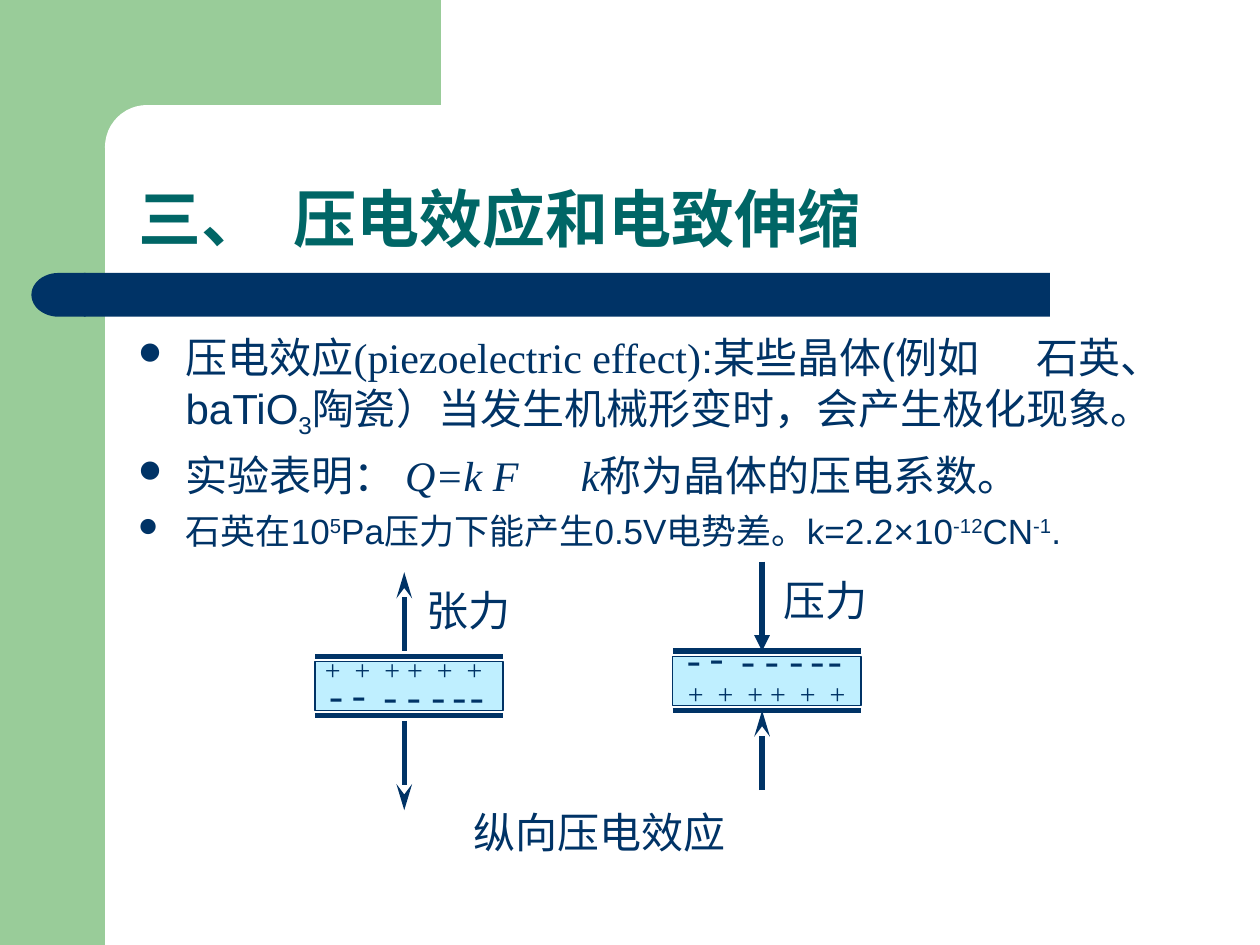
from lxml.etree import SubElement
from pptx import Presentation
from pptx.dml.color import RGBColor
from pptx.enum.shapes import MSO_CONNECTOR as Connector, MSO_SHAPE as Shape
from pptx.enum.text import MSO_ANCHOR as Anchor, PP_ALIGN as Align
from pptx.oxml.ns import qn
from pptx.util import Pt

COLORS = {"green": "99CC99", "navy": "003366", "teal": "006666",
          "white": "FFFFFF", "crystal": "33CCFF"}
SANS, SERIF = "Arial", "Times New Roman"

# Content: a run is (text, format values)
TITLE = "三、\t压电效应和电致伸缩"
TITLE_TAB = 88.5
BULLETS = [
    {"size": 24, "before": 0, "tab": 513, "runs": [
        ("压电效应", {}), ("(piezoelectric effect)", {"name": SERIF}),
        (":某些晶体(例如\t石英、baTiO", {}), ("3", {"baseline": -25}),
        ("陶瓷）当发生机械形变时，会产生极化现象。", {})]},
    {"size": 24, "before": 6, "tab": 252.8, "runs": [
        ("实验表明： ", {"name": SANS}),
        ("Q=k F\tk", {"name": SERIF, "italic": True}),
        ("称为晶体的压电系数。", {"name": SERIF})]},
    {"size": 20, "before": 5, "tab": None, "runs": [
        ("石英在10", {}), ("5", {"baseline": 30}),
        ("Pa压力下能产生0.5V电势差。k=2.2×10", {}), ("-12", {"baseline": 30}),
        ("CN", {}), ("-1", {"baseline": 30}), (".", {})]},
]
CAPTION = "纵向压电效应"

# Shape, left, top, width, height, corner adjustment, colour
DECORATION = [
    (Shape.RECTANGLE, 0, 0, 60, 540, None, "green"),
    (Shape.RECTANGLE, 54, 0, 198, 84, None, "green"),
    (Shape.ROUNDED_RECTANGLE, 60, 60, 402, 48, 0.5, "white"),
    (Shape.ROUNDED_RECTANGLE, 48, 156, 552, 25, 0, "navy"),
    (Shape.FLOWCHART_DELAY, 18, 156, 31, 25, None, "navy"),
]

# Each crystal: tops of the charge rows, and arrows as (start y, end y, head)
CRYSTALS = [
    {"left": 384.5, "top": 375, "plus_left": 386, "plus_top": 383.2,
     "minus_top": 358.4, "label": "压力", "label_at": (440.6, 324.7),
     "arrows": [(321, 372, "triangle"), (451.5, 406, "stealth")]},
    {"left": 180, "top": 378, "plus_left": 178.6, "plus_top": 369.4,
     "minus_top": 379.3, "label": "张力", "label_at": (236.9, 330.5),
     "arrows": [(372, 327, "stealth"), (412, 463, "stealth")]},
]
CRYSTAL_WIDTH, CRYSTAL_HEIGHT, PLATE_GAP, ARROW_OFFSET = 107.5, 28, 3, 51
PLUS_OFFSETS = [0, 17, 34, 47, 64, 81]
MINUS_OFFSETS = [(1, -0.7), (14, -1.4), (32, 0), (45.5, 0),
                 (59.5, 0), (71.5, 0), (81.5, 0)]
HEAD_LENGTHS = {"triangle": "med", "stealth": "lg"}


def rgb(name):
    return RGBColor.from_string(COLORS[name])


def set_font(font, **values):
    font.color.rgb = rgb(values.pop("color", "navy"))
    for key, value in values.items():
        setattr(font, key, value)


def add_block(shapes, kind, left, top, width, height, color, adjustment=None):
    shape = shapes.add_shape(kind, Pt(left), Pt(top), Pt(width), Pt(height))
    shape.shadow.inherit = False
    shape.fill.solid()
    shape.fill.fore_color.rgb = rgb(color)
    shape.line.fill.background()
    if adjustment is not None:
        shape.adjustments[0] = adjustment
    return shape


def add_line(shapes, x1, y1, x2, y2, head=None):
    line = shapes.add_connector(Connector.STRAIGHT, Pt(x1), Pt(y1), Pt(x2), Pt(y2))
    line.line.width = Pt(3)
    line.line.color.rgb = rgb("navy")
    properties = line.line._get_or_add_ln()
    if head:
        SubElement(properties, qn("a:tailEnd"), type=head, w="med",
                   len=HEAD_LENGTHS[head])
    SubElement(properties.getparent(), qn("a:effectLst"))


def add_label(shapes, text, left, top, width, height, size, wrap=False):
    box = shapes.add_textbox(Pt(left), Pt(top), Pt(width), Pt(height))
    box.text_frame.word_wrap = wrap
    paragraph = box.text_frame.paragraphs[0]
    paragraph.text = text
    set_font(paragraph.font, name=SERIF, size=Pt(size))


def add_tab(properties, position):
    tabs = SubElement(properties, qn("a:tabLst"))
    SubElement(tabs, qn("a:tab"), pos=str(Pt(position)), algn="l")


def add_bullet(paragraph, item):
    paragraph.space_before = Pt(item["before"])
    properties = paragraph._p.get_or_add_pPr()
    properties.set("marL", str(Pt(27)))
    properties.set("indent", str(Pt(-27)))
    color = SubElement(properties, qn("a:buClr"))
    SubElement(color, qn("a:srgbClr"), val=COLORS["navy"])
    SubElement(properties, qn("a:buSzPct"), val="75000")
    # In this symbol font the letter l is a round dot
    SubElement(properties, qn("a:buFont"), typeface="Wingdings",
               pitchFamily="2", charset="2")
    SubElement(properties, qn("a:buChar"), char="l")
    if item["tab"]:
        add_tab(properties, item["tab"])
    set_font(paragraph.font, name=SANS, size=Pt(item["size"]))
    for text, values in item["runs"]:
        run = paragraph.add_run()
        run.text = text
        values = {"name": SANS, "size": Pt(item["size"]), **values}
        baseline = values.pop("baseline", 0)
        set_font(run.font, **values)
        if baseline:
            run._r.get_or_add_rPr().set("baseline", str(baseline * 1000))


def add_crystal(slide, crystal):
    shapes = slide.shapes.add_group_shape().shapes
    left, top = crystal["left"], crystal["top"]
    right, bottom = left + CRYSTAL_WIDTH, top + CRYSTAL_HEIGHT
    body = add_block(shapes, Shape.RECTANGLE, left, top,
                     CRYSTAL_WIDTH, CRYSTAL_HEIGHT, "crystal")
    fill = body.fill._xPr.find(qn("a:solidFill"))
    SubElement(fill[0], qn("a:alpha"), val="31000")
    body.line.color.rgb = rgb("navy")
    body.line.width = Pt(0.75)
    # Electrode plates and force arrows
    for y in (top - PLATE_GAP, bottom + PLATE_GAP):
        add_line(shapes, left, y, right, y)
    x = left + ARROW_OFFSET
    for start, end, head in crystal["arrows"]:
        add_line(shapes, x, start, x, end, head)
    # Charges
    for offset in PLUS_OFFSETS:
        add_label(shapes, "+", crystal["plus_left"] + offset,
                  crystal["plus_top"], 23.5, 26.6, 16)
    for offset, rise in MINUS_OFFSETS:
        add_label(shapes, "-", left + offset, crystal["minus_top"] + rise, 22.5, 36, 24)
    add_label(shapes, crystal["label"], *crystal["label_at"], 66, 36, 24)


def main():
    presentation = Presentation()
    presentation.slide_width, presentation.slide_height = Pt(720), Pt(540)
    slide = presentation.slides.add_slide(presentation.slide_layouts[5])

    # Background bands
    for kind, left, top, width, height, adjustment, color in DECORATION:
        shape = add_block(slide.shapes, kind, left, top, width, height, color, adjustment)
    shape._element.spPr.get_or_add_xfrm().set("flipH", "1")

    # Title, in front of the bands
    title = slide.shapes.title
    slide.shapes._spTree.append(title._element)
    title.left, title.top, title.width, title.height = Pt(72), Pt(60), Pt(630), Pt(90)
    title.text_frame.text = TITLE
    title.text_frame.vertical_anchor = Anchor.BOTTOM
    paragraph = title.text_frame.paragraphs[0]
    paragraph.alignment = Align.LEFT
    paragraph.line_spacing = 0.9
    add_tab(paragraph._p.get_or_add_pPr(), TITLE_TAB)
    set_font(paragraph.runs[0].font, name=SANS, size=Pt(36), bold=True, color="teal")

    # Bullets
    box = slide.shapes.add_textbox(Pt(72), Pt(186), Pt(630), Pt(294))
    frame = box.text_frame
    frame.word_wrap = True
    for index, item in enumerate(BULLETS):
        add_bullet(frame.add_paragraph() if index else frame.paragraphs[0], item)

    # Crystals under pressure and tension
    for crystal in CRYSTALS:
        add_crystal(slide, crystal)
    add_label(slide.shapes, CAPTION, 263.5, 457.5, 209.5, 36, 24, wrap=True)
    presentation.save("out.pptx")


if __name__ == "__main__":
    main()
